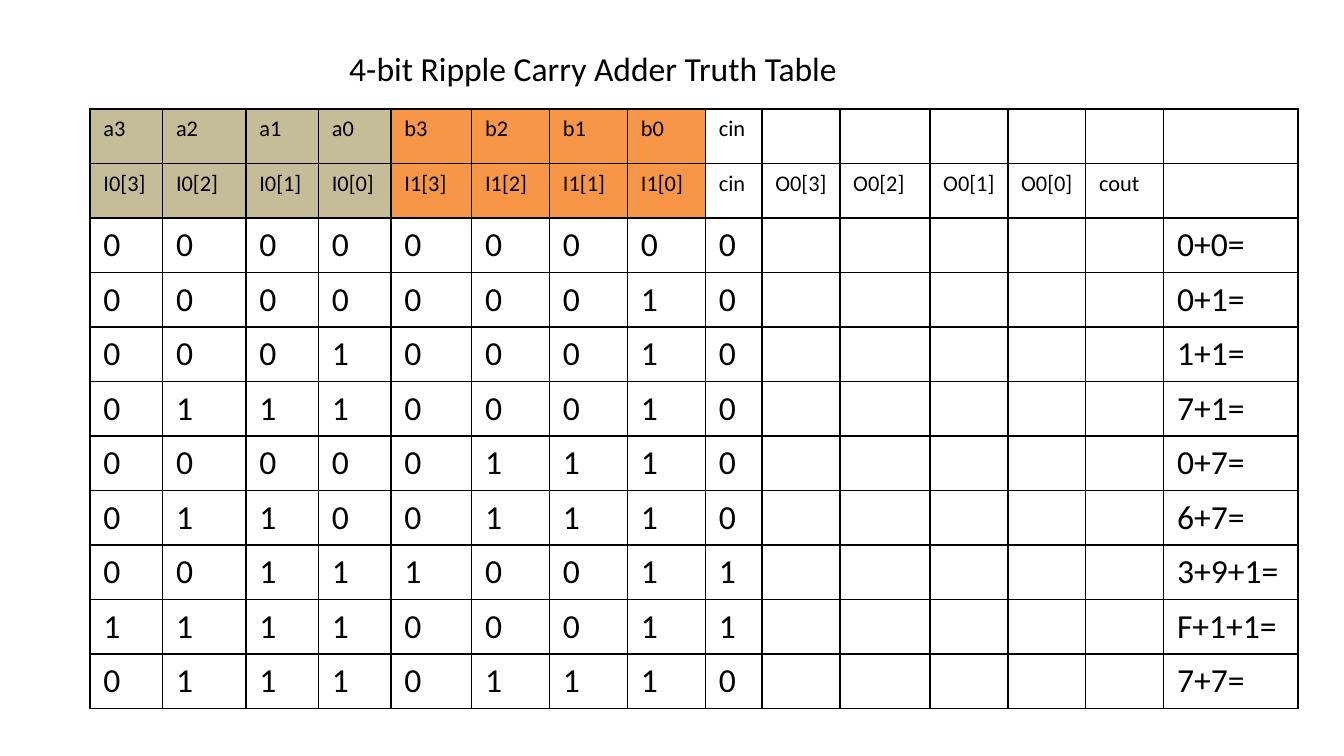
from lxml.etree import SubElement
from pptx import Presentation
from pptx.dml.color import RGBColor
from pptx.enum.text import MSO_AUTO_SIZE
from pptx.oxml.ns import qn
from pptx.util import Inches, Pt

TITLE = "4-bit Ripple Carry Adder Truth Table"
HEADERS = [
    ["a3", "a2", "a1", "a0", "b3", "b2", "b1", "b0", "cin"],
    ["I0[3]", "I0[2]", "I0[1]", "I0[0]", "I1[3]", "I1[2]", "I1[1]", "I1[0]", "cin",
     "O0[3]", "O0[2]", "O0[1]", "O0[0]", "cout"],
]
CASES = [
    ("0000", "0000", "0", "0+0="),
    ("0000", "0001", "0", "0+1="),
    ("0001", "0001", "0", "1+1="),
    ("0111", "0001", "0", "7+1="),
    ("0000", "0111", "0", "0+7="),
    ("0110", "0111", "0", "6+7="),
    ("0011", "1001", "1", "3+9+1="),
    ("1111", "0001", "1", "F+1+1="),
    ("0111", "0111", "0", "7+7="),
]
OUTPUT_COUNT = 5
COLUMN_WIDTHS = [0.54, 0.62, 0.54, 0.54, 0.6, 0.58, 0.58, 0.58, 0.42,
                 0.58, 0.67, 0.58, 0.58, 0.58, 1]
TABLE_LEFT, TABLE_TOP, TABLE_HEIGHT = 0.67, 0.81, 4.46
RIGHT_MARGIN = 0.05
COLORS = {"ink": "000000", "first input": "C4BD97", "second input": "F79646"}
FONT = "Calibri"


def add_run(paragraph, text, size):
    run = paragraph.add_run()
    run.text = text
    run.font.name = FONT
    run.font.size = Pt(size)
    run.font.color.rgb = RGBColor.from_string(COLORS["ink"])


def add_borders(cell):
    properties = cell._tc.get_or_add_tcPr()
    for position, side in enumerate(("lnL", "lnR", "lnT", "lnB")):
        line = SubElement(properties, qn(f"a:{side}"), w=str(Pt(1)))
        properties.insert(position, line)
        fill = SubElement(line, qn("a:solidFill"))
        SubElement(fill, qn("a:srgbClr"), val=COLORS["ink"])


def paint_cell(cell, row, column):
    if row < len(HEADERS) and column < 8:
        cell.fill.solid()
        name = "first input" if column < 4 else "second input"
        cell.fill.fore_color.rgb = RGBColor.from_string(COLORS[name])
    else:
        cell.fill.background()
    add_borders(cell)


def add_truth_table(slide):
    cases = [[*first, *second, carry, *[""] * OUTPUT_COUNT, total]
             for first, second, carry, total in CASES]
    rows = HEADERS + cases
    frame = slide.shapes.add_table(
        len(rows), len(COLUMN_WIDTHS), Inches(TABLE_LEFT), Inches(TABLE_TOP),
        Inches(sum(COLUMN_WIDTHS)), Inches(TABLE_HEIGHT))
    table = frame.table
    table.first_row = False
    table.horz_banding = False
    for column, width in zip(table.columns, COLUMN_WIDTHS):
        column.width = Inches(width)
    for row_index, texts in enumerate(rows):
        size = 12 if row_index < len(HEADERS) else 18
        for column_index in range(len(COLUMN_WIDTHS)):
            cell = table.cell(row_index, column_index)
            cell.margin_right = Inches(RIGHT_MARGIN)
            paint_cell(cell, row_index, column_index)
            if column_index < len(texts) and texts[column_index]:
                add_run(cell.text_frame.paragraphs[0], texts[column_index], size)


def add_title(slide):
    box = slide.shapes.add_textbox(Inches(2.5), Inches(0.31), Inches(3.85), Inches(0.4))
    box.text_frame.word_wrap = False
    box.text_frame.auto_size = MSO_AUTO_SIZE.SHAPE_TO_FIT_TEXT
    add_run(box.text_frame.paragraphs[0], TITLE, 18)


def main():
    presentation = Presentation()
    presentation.slide_width = Inches(10)
    presentation.slide_height = presentation.slide_width * 9 // 16
    slide = presentation.slides.add_slide(presentation.slide_layouts[6])
    add_truth_table(slide)
    add_title(slide)
    presentation.save("out.pptx")


if __name__ == "__main__":
    main()
